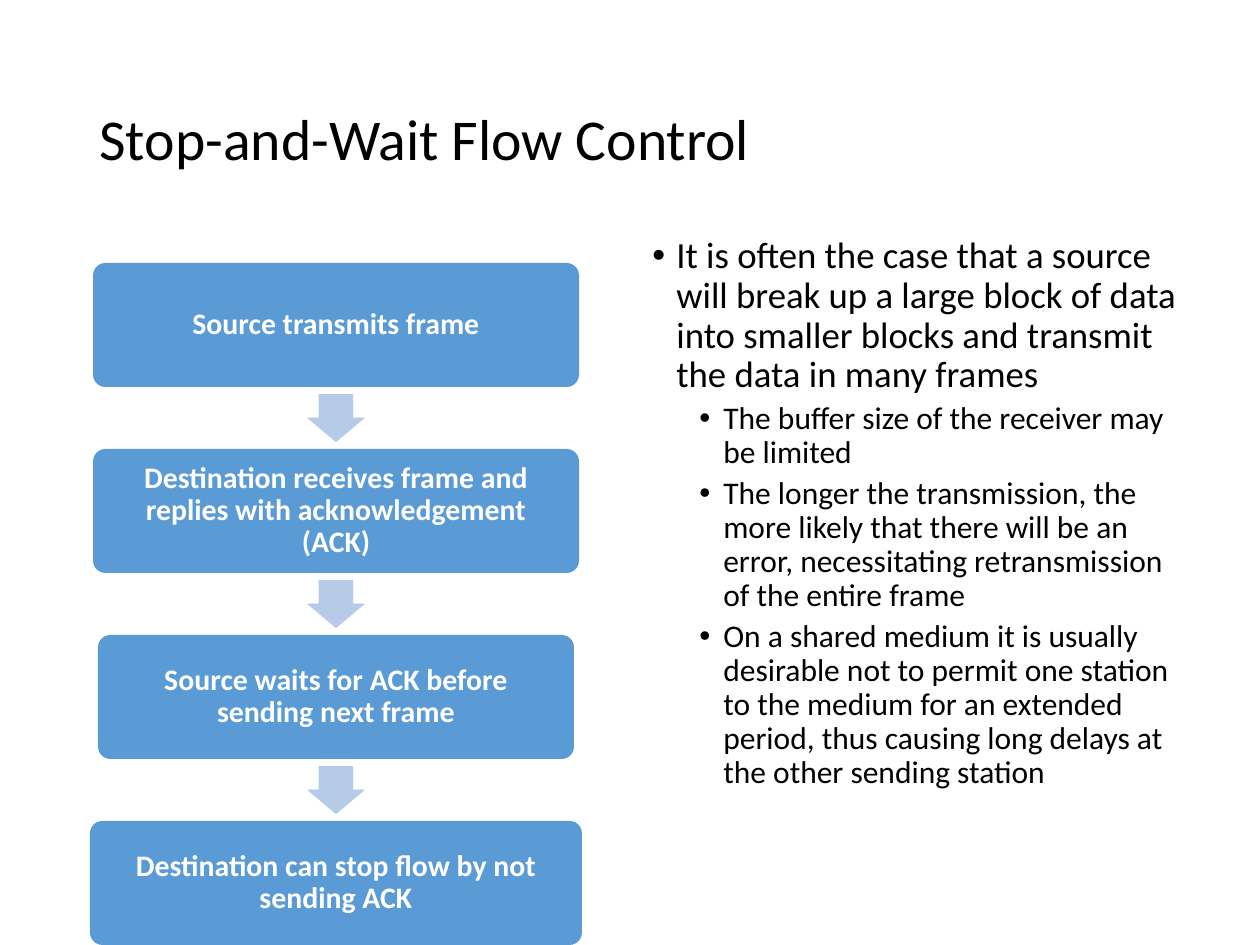
import pptx
import pptx.util
import pptx.dml.color
import pptx.enum.shapes
import pptx.enum.text
import pptx.oxml.ns
import lxml.etree

# Content
TITLE = "Stop-and-Wait Flow Control"
STEPS = [  # wording, box width in px
    ("Source transmits frame", 486),
    ("Destination receives frame and replies with acknowledgement (ACK)", 486),
    ("Source waits for ACK before sending next frame", 476),
    ("Destination can stop flow by not sending ACK", 492),
]
POINTS = [  # level, wording
    (0, "It is often the case that a source will break up a large block of data "
        "into smaller blocks and transmit the data in many frames"),
    (1, "The buffer size of the receiver may be limited"),
    (1, "The longer the transmission, the more likely that there will be an error, "
        "necessitating retransmission of the entire frame"),
    (1, "On a shared medium it is usually desirable not to permit one station to the "
        "medium for an extended period, thus causing long delays at the other sending station"),
]

# Formats
BLACK, WHITE, BOX_BLUE, ARROW_BLUE = "000000", "FFFFFF", "5B9BD5", "B5CBE7"
TITLE_FONT = {"size": 33, "color": BLACK}
STEP_FONT = {"size": 17, "color": WHITE, "bold": True}
POINT_FORMATS = [  # by level: font, space before in pt, left indent in px
    ({"size": 21, "color": BLACK}, 7.5, 24),
    ({"size": 18, "color": BLACK}, 3.8, 71),
]
HANGING = 24

# Layout in px
SLIDE_SIZE = (1260, 945)
TITLE_AREA = (87, 50, 1086, 183)
POINTS_AREA = (640, 231, 557, 693)
FLOW_CENTER, FLOW_TOP, STEP_HEIGHT, STEP_PITCH = 336, 263, 124, 186
ARROW_WIDTH, ARROW_HEIGHT = 56, 47
STEP_INSET = 12

Anchor = pptx.enum.text.MSO_ANCHOR
Shape = pptx.enum.shapes.MSO_SHAPE


def px(length):
    return pptx.util.Emu(round(length * 914400 / 126))


def rgb(color):
    return pptx.dml.color.RGBColor.from_string(color)


def write(paragraph, text, font_format):
    paragraph.line_spacing = 0.9
    font = paragraph.add_run().font
    paragraph.runs[0].text = text
    font.name = "Calibri"
    font.color.rgb = rgb(font_format["color"])
    font.size = pptx.util.Pt(font_format["size"])
    font.bold = font_format.get("bold", False)


def add_bullet(paragraph, indent):
    properties = paragraph._p.get_or_add_pPr()
    properties.set("marL", str(px(indent)))
    properties.set("indent", str(-px(HANGING)))
    for tag, name, value in (("a:buFont", "typeface", "Arial"), ("a:buChar", "char", "•")):
        bullet = lxml.etree.SubElement(properties, pptx.oxml.ns.qn(tag))
        bullet.set(name, value)


def add_text_area(slide, area, anchor):
    frame = slide.shapes.add_textbox(*map(px, area)).text_frame
    frame.word_wrap = True
    frame.vertical_anchor = anchor
    return frame


def add_flow_shape(slide, preset, top, width, height, adjustments, color):
    shape = slide.shapes.add_shape(
        preset, px(FLOW_CENTER - width / 2), px(top), px(width), px(height))
    shape.shadow.inherit = False
    for index, value in enumerate(adjustments):
        shape.adjustments[index] = value
    shape.fill.solid()
    shape.fill.fore_color.rgb = rgb(color)
    shape.line.fill.background()
    return shape


def add_step(slide, top, text, width):
    step = add_flow_shape(slide, Shape.ROUNDED_RECTANGLE, top, width,
                          STEP_HEIGHT, [0.1], BOX_BLUE)
    frame = step.text_frame
    frame_format = {"word_wrap": True, "vertical_anchor": Anchor.MIDDLE}
    for side in ("left", "right", "top", "bottom"):
        frame_format["margin_" + side] = px(STEP_INSET)
    for name, value in frame_format.items():
        setattr(frame, name, value)
    frame.paragraphs[0].alignment = pptx.enum.text.PP_ALIGN.CENTER
    write(frame.paragraphs[0], text, STEP_FONT)


def add_arrow(slide, top):
    arrow = add_flow_shape(slide, Shape.DOWN_ARROW, top, ARROW_WIDTH,
                           ARROW_HEIGHT, [0.6, 0.5], ARROW_BLUE)
    arrow.line.color.rgb = rgb(ARROW_BLUE)
    arrow.line.width = pptx.util.Pt(0.5)


def main():
    deck = pptx.Presentation()
    deck.slide_width, deck.slide_height = map(px, SLIDE_SIZE)
    slide = deck.slides.add_slide(deck.slide_layouts[6])

    # Title
    title = add_text_area(slide, TITLE_AREA, Anchor.MIDDLE)
    write(title.paragraphs[0], TITLE, TITLE_FONT)

    # Bulleted points
    points = add_text_area(slide, POINTS_AREA, Anchor.TOP)
    for number, (level, text) in enumerate(POINTS):
        point = points.add_paragraph() if number else points.paragraphs[0]
        font_format, space_before, indent = POINT_FORMATS[level]
        point.level = level
        point.space_before = pptx.util.Pt(space_before)
        write(point, text, font_format)
        add_bullet(point, indent)

    # Flow of steps, with an arrow centred in each gap
    gap = STEP_PITCH - STEP_HEIGHT
    for number, (text, width) in enumerate(STEPS):
        top = FLOW_TOP + number * STEP_PITCH
        if number:
            add_arrow(slide, top - (gap + ARROW_HEIGHT) / 2)
        add_step(slide, top, text, width)

    deck.save("out.pptx")


if __name__ == "__main__":
    main()
